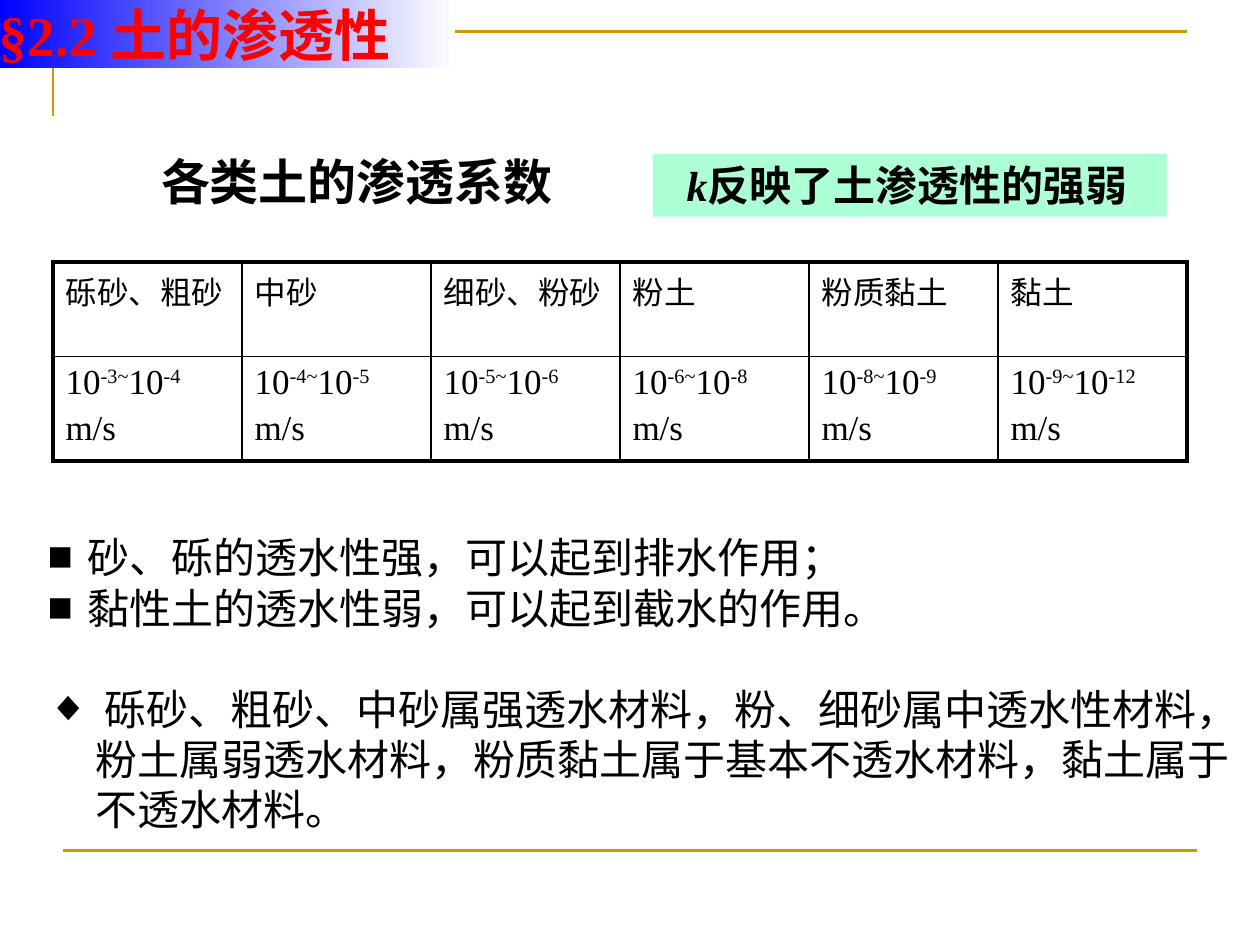
from lxml.etree import SubElement
from pptx import Presentation
from pptx.dml.color import RGBColor
from pptx.enum.shapes import MSO_CONNECTOR, MSO_SHAPE
from pptx.enum.text import MSO_ANCHOR, MSO_AUTO_SIZE, PP_ALIGN
from pptx.oxml import parse_xml
from pptx.oxml.ns import nsdecls, qn
from pptx.util import Inches, Pt

COLORS = {"gold": "CC9900", "mint": "ADFFD6", "black": "000000",
          "red": "FF0000", "blue": "0000FF", "white": "FFFFFF"}
SERIF, SANS = "Times New Roman", "Noto Sans CJK SC"

TITLE = "§2.2 土的渗透性"
HEADING = "各类土的渗透系数"
SOILS = [  # soil, exponents of the permeability range
    ("砾砂、粗砂", -3, -4),
    ("中砂", -4, -5),
    ("细砂、粉砂", -5, -6),
    ("粉土", -6, -8),
    ("粉质黏土", -8, -9),
    ("黏土", -9, -12),
]
NOTES = [  # bullet, hanging indent, space before, text
    ("■", 0.32, 0, "砂、砾的透水性强，可以起到排水作用；"),
    ("■", 0.32, 0, "黏性土的透水性弱，可以起到截水的作用。"),
    ("◆", 0.38, 29, " 砾砂、粗砂、中砂属强透水材料，粉、细砂属中透水性材料，"
     "粉土属弱透水材料，粉质黏土属于基本不透水材料，黏土属于不透水材料。"),
]
LEFT, COLUMN, ROWS = 0.42, 1.5, (0.75, 0.83)
THICK, THIN = 2.25, 1


def rgb(name):
    return RGBColor.from_string(COLORS[name])


def add_text(paragraph, text, size=24, font=SERIF, color="black",
             bold=False, italic=False, superscript=False):
    run = paragraph.add_run()
    run.text = text
    run.font.size, run.font.name = Pt(size), font
    run.font.bold, run.font.italic = bold, italic
    run.font.color.rgb = rgb(color)
    properties = run._r.get_or_add_rPr()
    SubElement(properties, qn("a:ea")).set("typeface", SANS)
    if superscript:
        properties.set("baseline", "30000")


def prepare_frame(shape, auto_size=MSO_AUTO_SIZE.SHAPE_TO_FIT_TEXT):
    frame = shape.text_frame
    frame.word_wrap = True
    frame.auto_size = auto_size
    frame.vertical_anchor = MSO_ANCHOR.TOP
    frame.paragraphs[0].alignment = PP_ALIGN.LEFT
    return frame


def set_bullet(paragraph, character, indent):
    properties = paragraph._p.get_or_add_pPr()
    properties.set("marL", str(Inches(indent)))
    properties.set("indent", str(-Inches(indent)))
    SubElement(properties, qn("a:buFont")).set("typeface", SERIF)
    SubElement(properties, qn("a:buChar")).set("char", character)


def set_borders(cell, widths):
    """Widths are points for left, right, top and bottom."""
    properties = cell._tc.get_or_add_tcPr()
    for index, (side, width) in enumerate(zip("LRTB", widths)):
        properties.insert(index, parse_xml(
            f'<a:ln{side} {nsdecls("a")} w="{Pt(width)}"><a:solidFill>'
            f'<a:srgbClr val="{COLORS["black"]}"/></a:solidFill></a:ln{side}>'))


def style_line(shape):
    shape.line.color.rgb = rgb("gold")
    shape.line.width = Pt(1.5)


def add_rules(slide):
    builder = slide.shapes.build_freeform(Inches(LEFT), Inches(0.92))
    builder.add_line_segments([(Inches(LEFT), Inches(0.25)),
                               (Inches(9.42), Inches(0.25))], close=False)
    corner = builder.convert_to_shape()
    corner.fill.background()
    corner.shadow.inherit = False
    style_line(corner)
    bottom = slide.shapes.add_connector(
        MSO_CONNECTOR.STRAIGHT, Inches(0.5), Inches(6.75), Inches(9.5), Inches(6.75))
    style_line(bottom)
    SubElement(bottom.element.spPr, qn("a:effectLst"))


def add_callout(slide):
    callout = slide.shapes.add_shape(
        MSO_SHAPE.RECTANGLE, Inches(5.18), Inches(1.22), Inches(4.08), Inches(0.5))
    callout.shadow.inherit = False
    callout.fill.solid()
    callout.fill.fore_color.rgb = rgb("mint")
    callout.line.fill.background()
    frame = prepare_frame(callout)
    frame.margin_left = Inches(0.27)
    paragraph = frame.paragraphs[0]
    add_text(paragraph, "k", bold=True, italic=True)
    add_text(paragraph, "反映了土渗透性的强弱", bold=True)


def add_soil_table(slide):
    last = len(SOILS) - 1
    table = slide.shapes.add_table(
        len(ROWS), len(SOILS), Inches(LEFT), Inches(2.08),
        Inches(COLUMN * len(SOILS)), Inches(sum(ROWS))).table
    table.first_row = table.horz_banding = False
    for row, height in zip(table.rows, ROWS):
        row.height = Inches(height)
    for column, (soil, upper, lower) in enumerate(SOILS):
        table.columns[column].width = Inches(COLUMN)
        name, value = table.cell(0, column), table.cell(1, column)
        add_text(name.text_frame.paragraphs[0], soil, size=18)
        amount = value.text_frame.paragraphs[0]
        for text, raised in (("10", False), (f"{upper}~", True),
                             ("10", False), (str(lower), True)):
            add_text(amount, text, size=20, superscript=raised)
        add_text(value.text_frame.add_paragraph(), "m/s", size=20)
        sides = (THICK if column == 0 else THIN, THICK if column == last else THIN)
        for cell, ends in ((name, (THICK, THIN)), (value, (THIN, THICK))):
            for paragraph in cell.text_frame.paragraphs:
                paragraph.space_before = Pt(4)
            cell.fill.background()
            set_borders(cell, sides + ends)


def add_notes_list(slide):
    box = slide.shapes.add_textbox(Inches(0.28), Inches(4.17), Inches(9.8), Inches(2.52))
    frame = prepare_frame(box)
    for index, (bullet, indent, gap, text) in enumerate(NOTES):
        paragraph = frame.add_paragraph() if index else frame.paragraphs[0]
        paragraph.space_before = Pt(gap)
        set_bullet(paragraph, bullet, indent)
        add_text(paragraph, text, font=SANS)


def add_heading(slide):
    box = slide.shapes.add_textbox(Inches(1.18), Inches(1.15), Inches(3.74), Inches(0.57))
    add_text(prepare_frame(box).paragraphs[0], HEADING, size=28, font=SANS, bold=True)


def format_title(slide):
    title = slide.shapes.title
    title.left, title.top = Inches(-0.01), Inches(0)
    title.width, title.height = Inches(3.62), Inches(0.54)
    title.fill.gradient()
    title.fill.gradient_angle = 0
    for stop, position, color in zip(title.fill.gradient_stops, (0, 1), ("blue", "white")):
        stop.position = position
        stop.color.rgb = rgb(color)
    frame = prepare_frame(title, auto_size=MSO_AUTO_SIZE.NONE)
    frame.margin_left = frame.margin_right = 0
    frame.margin_top = frame.margin_bottom = 0
    add_text(frame.paragraphs[0], TITLE, size=32, color="red", bold=True)
    # The title band covers the corner rule, so it goes to the front.
    title.element.getparent().append(title.element)


def main():
    presentation = Presentation()
    presentation.slide_width, presentation.slide_height = Inches(10), Inches(7.5)
    slide = presentation.slides.add_slide(presentation.slide_layouts[5])
    for build in (add_rules, add_callout, add_soil_table, add_notes_list,
                  add_heading, format_title):
        build(slide)
    presentation.save("out.pptx")


if __name__ == "__main__":
    main()
